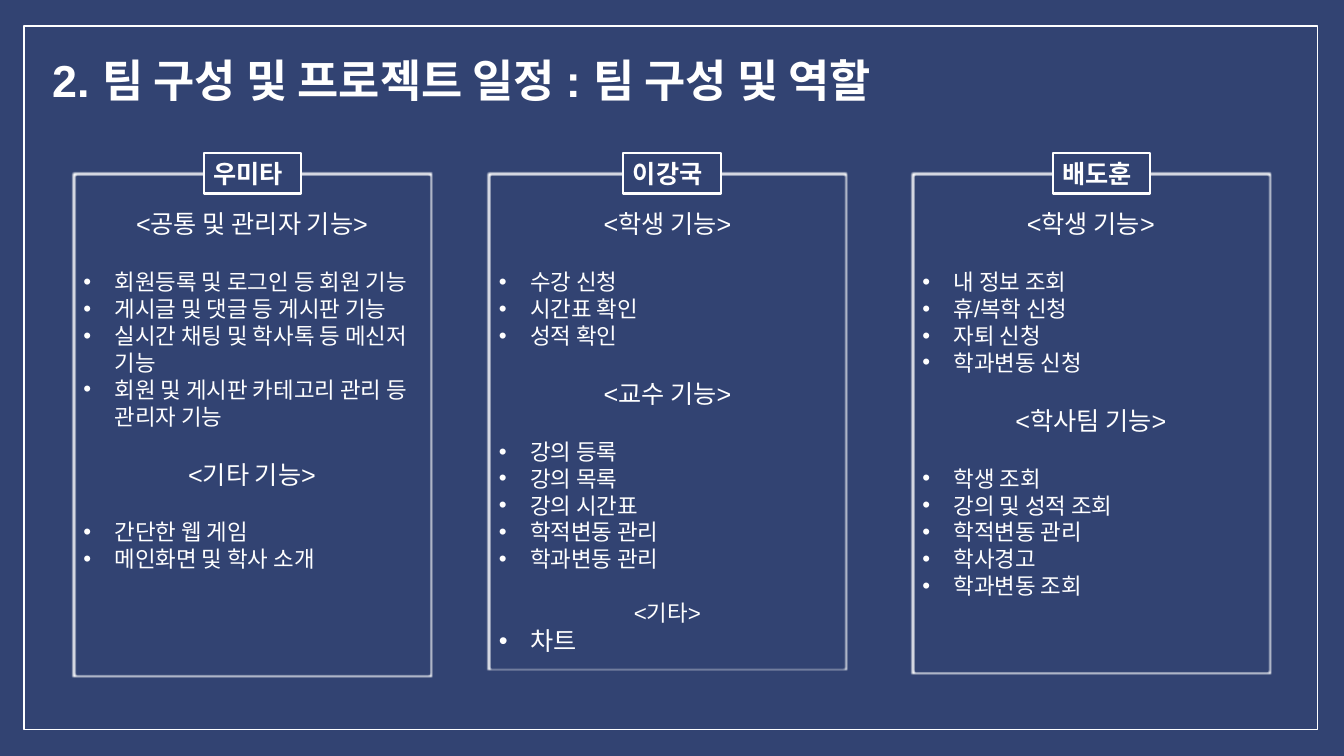
from lxml import etree
from pptx import Presentation
from pptx.dml.color import RGBColor
from pptx.enum import shapes, text
from pptx.oxml import ns
from pptx.util import Inches, Pt

COLORS = {"navy": "324372", "white": "FFFFFF"}
FONT = "Arial"
COLUMN_TOP, COLUMN_WIDTH = 1.72, 3.54
LABEL_WIDTH, LABEL_HEIGHT = 0.97, 0.4
INDENT = Inches(0.31)

# Each group: heading, heading size, gap before, gap after, items, item size
COLUMNS = [
    {"name": "우미타", "left": 0.73, "height": 4.98, "label_left": 2.02, "groups": [
        ("<공통 및 관리자 기능>", 18, 0, 21, [
            "회원등록 및 로그인 등 회원 기능", "게시글 및 댓글 등 게시판 기능",
            "실시간 채팅 및 학사톡 등 메신저 기능",
            "회원 및 게시판 카테고리 관리 등 관리자 기능"], 16),
        ("<기타 기능>", 18, 21, 21, ["간단한 웹 게임", "메인화면 및 학사 소개"], 16)]},
    {"name": "이강국", "left": 4.85, "height": 4.91, "label_left": 6.18, "groups": [
        ("<학생 기능>", 18, 0, 21, ["수강 신청", "시간표 확인", "성적 확인"], 16),
        ("<교수 기능>", 18, 21, 21, [
            "강의 등록", "강의 목록", "강의 시간표", "학적변동 관리", "학과변동 관리"], 16),
        ("<기타>", 16, 19, 0, ["차트"], 18)]},
    {"name": "배도훈", "left": 9.05, "height": 4.95, "label_left": 10.44, "groups": [
        ("<학생 기능>", 18, 0, 21, [
            "내 정보 조회", "휴/복학 신청", "자퇴 신청", "학과변동 신청"], 16),
        ("<학사팀 기능>", 18, 21, 21, [
            "학생 조회", "강의 및 성적 조회", "학적변동 관리", "학사경고", "학과변동 조회"], 16)]},
]


def color(name):
    return RGBColor.from_string(COLORS[name])


def add_rectangle(slide, box, fill=None, line_width=None):
    shape = slide.shapes.add_shape(
        shapes.MSO_SHAPE.RECTANGLE, *[Inches(length) for length in box])
    shape.shadow.inherit = False
    if fill:
        shape.fill.solid()
        shape.fill.fore_color.rgb = color(fill)
    else:
        shape.fill.background()
    if line_width:
        shape.line.color.rgb = color("white")
        shape.line.width = Pt(line_width)
    else:
        shape.line.fill.background()
    return shape


def add_run(paragraph, words, size, bold=False):
    run = paragraph.add_run()
    run.text = words
    run.font.name = FONT
    run.font.size = Pt(size)
    run.font.bold = bold
    run.font.color.rgb = color("white")


def set_bullet(paragraph):
    properties = paragraph._p.get_or_add_pPr()
    properties.set("marL", str(INDENT))
    properties.set("indent", str(-INDENT))
    font = etree.SubElement(properties, ns.qn("a:buFont"))
    font.set("typeface", FONT)
    bullet = etree.SubElement(properties, ns.qn("a:buChar"))
    bullet.set("char", "•")


def soften_edge(shape):
    effects = shape._element.spPr.find(ns.qn("a:effectLst"))
    edge = etree.SubElement(effects, ns.qn("a:softEdge"))
    edge.set("rad", str(Pt(1)))


def add_background(slide):
    add_rectangle(slide, (0, 0, 13.33, 7.5), fill="navy")
    add_rectangle(slide, (0.24, 0.26, 12.83, 6.98), line_width=1)


def add_title(slide, box, words):
    frame = slide.shapes.add_textbox(*[Inches(length) for length in box]).text_frame
    frame.word_wrap = True
    add_run(frame.paragraphs[0], words, 32, bold=True)


def add_role_box(slide, box, groups):
    """Outline a column and list its headed groups of duties."""
    shape = add_rectangle(slide, box, line_width=3)
    soften_edge(shape)
    frame = shape.text_frame
    frame.word_wrap = True
    frame.vertical_anchor = text.MSO_ANCHOR.TOP
    frame.margin_top = Inches(0.35)
    for index, (heading, size, before, after, items, item_size) in enumerate(groups):
        paragraph = frame.add_paragraph() if index else frame.paragraphs[0]
        paragraph.alignment = text.PP_ALIGN.CENTER
        paragraph.space_before = Pt(before)
        paragraph.space_after = Pt(after)
        add_run(paragraph, heading, size)
        for item in items:
            paragraph = frame.add_paragraph()
            paragraph.alignment = text.PP_ALIGN.LEFT
            set_bullet(paragraph)
            add_run(paragraph, item, item_size)


def add_name_label(slide, box, name):
    frame = add_rectangle(slide, box, fill="navy", line_width=1.5).text_frame
    frame.word_wrap = True
    frame.vertical_anchor = text.MSO_ANCHOR.TOP
    frame.paragraphs[0].alignment = text.PP_ALIGN.LEFT
    add_run(frame.paragraphs[0], name, 18, bold=True)


def add_member(slide, member):
    add_role_box(slide, (member["left"], COLUMN_TOP, COLUMN_WIDTH, member["height"]),
                 member["groups"])
    add_name_label(slide, (member["label_left"], COLUMN_TOP - LABEL_HEIGHT / 2,
                           LABEL_WIDTH, LABEL_HEIGHT), member["name"])


def main():
    presentation = Presentation()
    presentation.slide_width = Inches(13.33)
    presentation.slide_height = Inches(7.5)
    slide = presentation.slides.add_slide(presentation.slide_layouts[6])
    add_background(slide)
    add_title(slide, (0.42, 0.47, 10.44, 0.64), "2. 팀 구성 및 프로젝트 일정 : 팀 구성 및 역할")
    for member in COLUMNS:
        add_member(slide, member)
    presentation.save("out.pptx")


if __name__ == "__main__":
    main()
